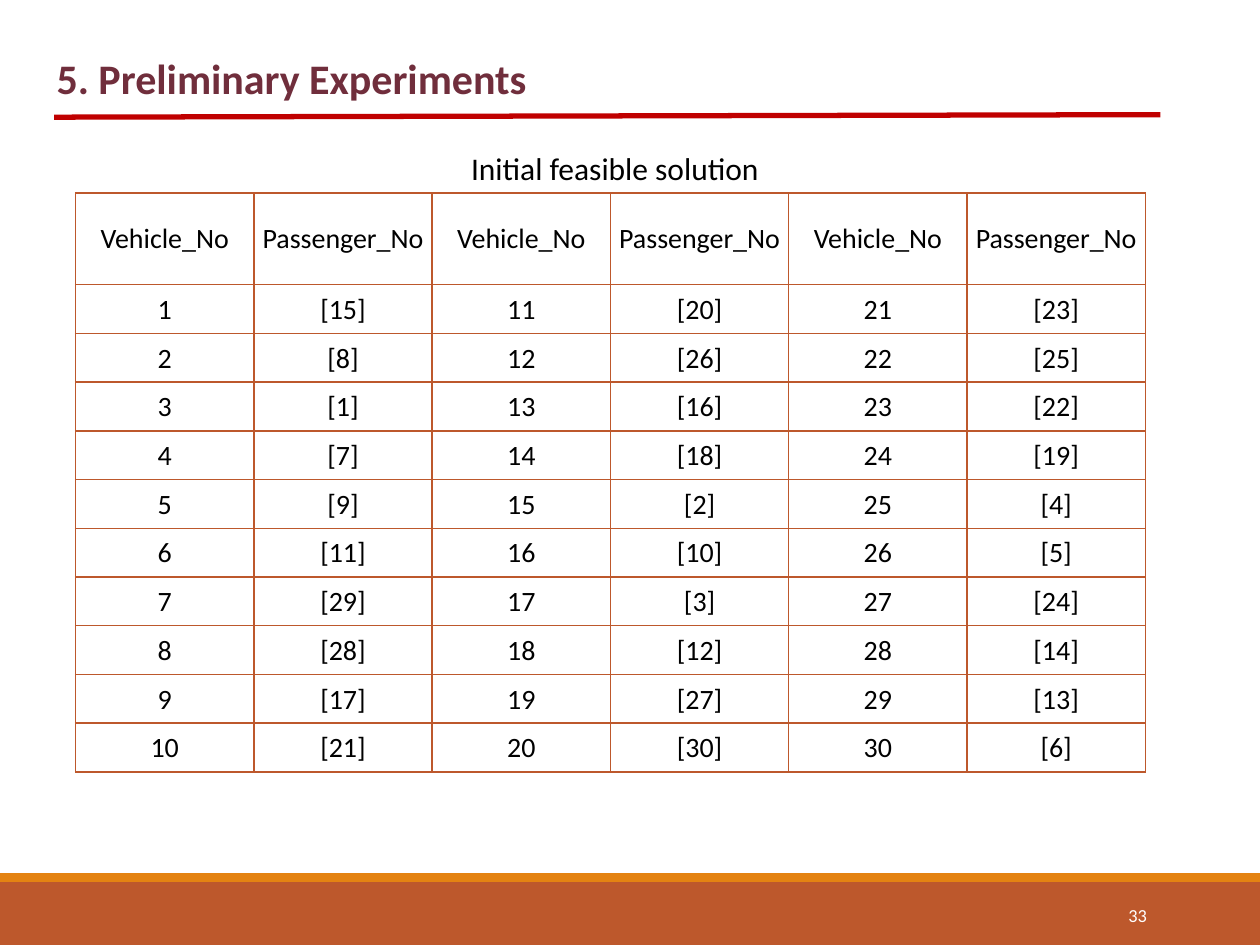
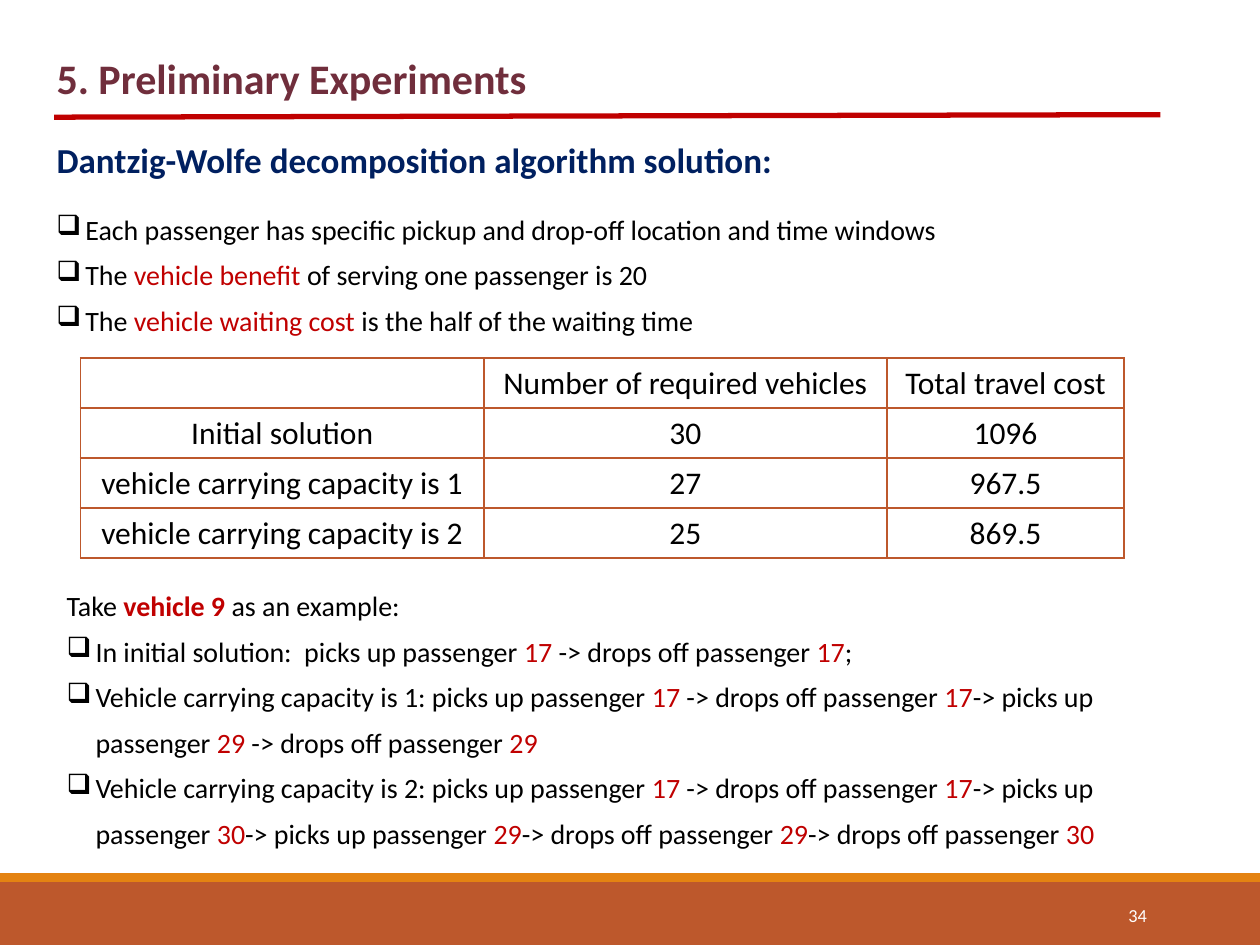
import pptx
import pptx.util
import pptx.dml.color
import pptx.enum.text
import pptx.enum.shapes
import pptx.oxml
import pptx.oxml.ns
import lxml.etree

Inches = pptx.util.Inches
Pt = pptx.util.Pt
ALIGN = pptx.enum.text.PP_ALIGN
MIDDLE = pptx.enum.text.MSO_ANCHOR.MIDDLE
FONT = "Calibri"
BULLET = "❑"
COLORS = {
    "band": "BD582C",
    "strip": "E48312",
    "accent": "C00000",
    "title": "702E3C",
    "head": "002060",
    "text": "000000",
    "white": "FFFFFF",
}


def paint(name):
    return pptx.dml.color.RGBColor.from_string(COLORS[name])


def child(parent, tag, **attrs):
    return lxml.etree.SubElement(parent, pptx.oxml.ns.qn(tag), attrs)


def write(frame, text, size=16, color="text", bold=False, align=ALIGN.LEFT, lead=None):
    for row, line in enumerate(text.split("\n")):
        para = frame.add_paragraph() if row else frame.paragraphs[0]
        para.alignment = align
        if lead:
            para.line_spacing = Pt(lead)
        listed = line.startswith(BULLET)
        if listed:
            props = para._p.get_or_add_pPr()
            props.set("marL", str(Inches(0.23)))
            props.set("indent", str(Inches(-0.23)))
            child(props, "a:buChar", char=BULLET)
        for part, words in enumerate(line.removeprefix(BULLET).split("|")):
            if not words:
                continue
            marked = part % 2 == 1
            run = para.add_run()
            run.text = words
            run.font.name = FONT
            run.font.size = Pt(size)
            run.font.bold = bold or (marked and not listed)
            run.font.color.rgb = paint("accent" if marked else color)


def label(slide, box, text, anchor=None, **style):
    frame = slide.shapes.add_textbox(*map(Inches, box)).text_frame
    frame.word_wrap = True
    if anchor is not None:
        frame.vertical_anchor = anchor
    write(frame, text, **style)


def band(slide, box, color):
    shape = slide.shapes.add_shape(
        pptx.enum.shapes.MSO_SHAPE.RECTANGLE, *map(Inches, box))
    shape.shadow.inherit = False
    shape.fill.solid()
    shape.fill.fore_color.rgb = paint(color)
    shape.line.fill.background()


def footer(slide, box, number):
    left, top, width, height = box
    band(slide, (left, top + 0.07, width, height - 0.07), "band")
    band(slide, (left, top, width, 0.07), "strip")
    label(slide, (left + width - 1.88, top + 0.13, 1.08, 0.4), str(number),
          anchor=MIDDLE, size=10.5, color="white", align=ALIGN.RIGHT)


def header(slide, box, text):
    left, top, width, height = box
    rule = slide.shapes.add_connector(
        pptx.enum.shapes.MSO_CONNECTOR.STRAIGHT,
        Inches(left + 0.08), Inches(top + height + 0.06),
        Inches(left + width + 0.21), Inches(top + height + 0.04))
    rule.line.color.rgb = paint("accent")
    rule.line.width = Pt(3)
    child(rule._element.spPr, "a:effectLst")
    label(slide, box, text, size=24, color="title", bold=True)


def edge(cell):
    props = cell._tc.get_or_add_tcPr()
    for place, side in enumerate(("lnL", "lnR", "lnT", "lnB")):
        line = pptx.oxml.parse_xml(
            f'<a:{side} {pptx.oxml.ns.nsdecls("a")} w="{Pt(1)}"><a:solidFill>'
            f'<a:srgbClr val="{COLORS["band"]}"/></a:solidFill></a:{side}>')
        props.insert(place, line)


def grid(slide, box, rows, widths, heights, size):
    table = slide.shapes.add_table(
        len(rows), len(widths), *map(Inches, box)).table
    table.first_row = False
    table.horz_banding = False
    for column, width in zip(table.columns, widths):
        column.width = Inches(width)
    for row, height, texts in zip(table.rows, heights, rows):
        row.height = Inches(height)
        for cell, text in zip(row.cells, texts):
            cell.fill.solid()
            cell.fill.fore_color.rgb = paint("white")
            cell.vertical_anchor = MIDDLE
            cell.margin_left = cell.margin_right = cell.margin_top = Inches(0.01)
            cell.margin_bottom = 0
            write(cell.text_frame, text, size=size, align=ALIGN.CENTER)
            edge(cell)


def start(deck, number):
    slide = deck.slides.add_slide(deck.slide_layouts[6])
    footer(slide, (0, 6.93, 10, 0.57), number)
    header(slide, (0.35, 0.37, 8.65, 0.5), "5. Preliminary Experiments")
    return slide


def initial(slide, box):
    left, top, width, height = box
    riders = [15, 8, 1, 7, 9, 11, 29, 28, 17, 21,
              20, 26, 16, 18, 2, 10, 3, 12, 27, 30,
              23, 25, 22, 19, 4, 5, 24, 14, 13, 6]
    rows = [["Vehicle_No", "Passenger_No"] * 3]
    for first in range(10):
        row = []
        for index in range(first, 30, 10):
            row += [str(index + 1), f"[{riders[index]}]"]
        rows.append(row)
    label(slide, (left + 3.04, top, 2.52, 0.4), "Initial feasible solution", size=18)
    top_row = 0.73
    body = height - 0.4
    grid(slide, (left, top + 0.4, width, body), rows, [width / 6] * 6,
         [top_row] + [(body - top_row) / 10] * 10, 16)


def results(slide, box):
    left, top, width, height = box
    label(slide, (left, top, 8.19, 0.44),
          "Dantzig-Wolfe decomposition algorithm solution:",
          size=20, color="head", bold=True)
    label(slide, (left, top + 0.49, width - 0.15, 1.19), "\n".join([
        "❑Each passenger has specific pickup and drop-off location and time windows",
        "❑The |vehicle benefit |of serving one passenger is 20",
        "❑The |vehicle waiting cost |is the half of the waiting time",
    ]), lead=26)
    rows = [
        ["", "Number of required vehicles", "Total travel cost"],
        ["Initial solution", "30", "1096"],
        ["vehicle carrying capacity is 1", "27", "967.5"],
        ["vehicle carrying capacity is 2", "25", "869.5"],
    ]
    grid(slide, (left + 0.29, top + 1.79, 8.28, 1.59), rows,
         [3.2, 3.2, 1.88], [1.59 / 4] * 4, 18)
    label(slide, (left + 0.08, top + 3.48, width - 0.08, height - 3.48), "\n".join([
        "Take |vehicle 9 |as an example:",
        "❑In initial solution:  picks up passenger |17 |-> drops off passenger |17|;",
        "❑Vehicle carrying capacity is 1: picks up passenger |17| -> drops off passenger "
        "|17|-> picks up passenger |29| -> drops off passenger |29",
        "❑Vehicle carrying capacity is 2: picks up passenger |17| -> drops off passenger "
        "|17|-> picks up passenger |30|-> picks up passenger |29|-> drops off passenger "
        "|29|-> drops off passenger |30",
    ]), lead=26)


def main():
    deck = pptx.Presentation()
    deck.slide_width = Inches(10)
    deck.slide_height = Inches(7.5)
    initial(start(deck, 33), (0.6, 1.13, 8.49, 5))
    results(start(deck, 34), (0.35, 1.05, 8.99, 5.77))
    deck.save("out.pptx")


if __name__ == "__main__":
    main()
